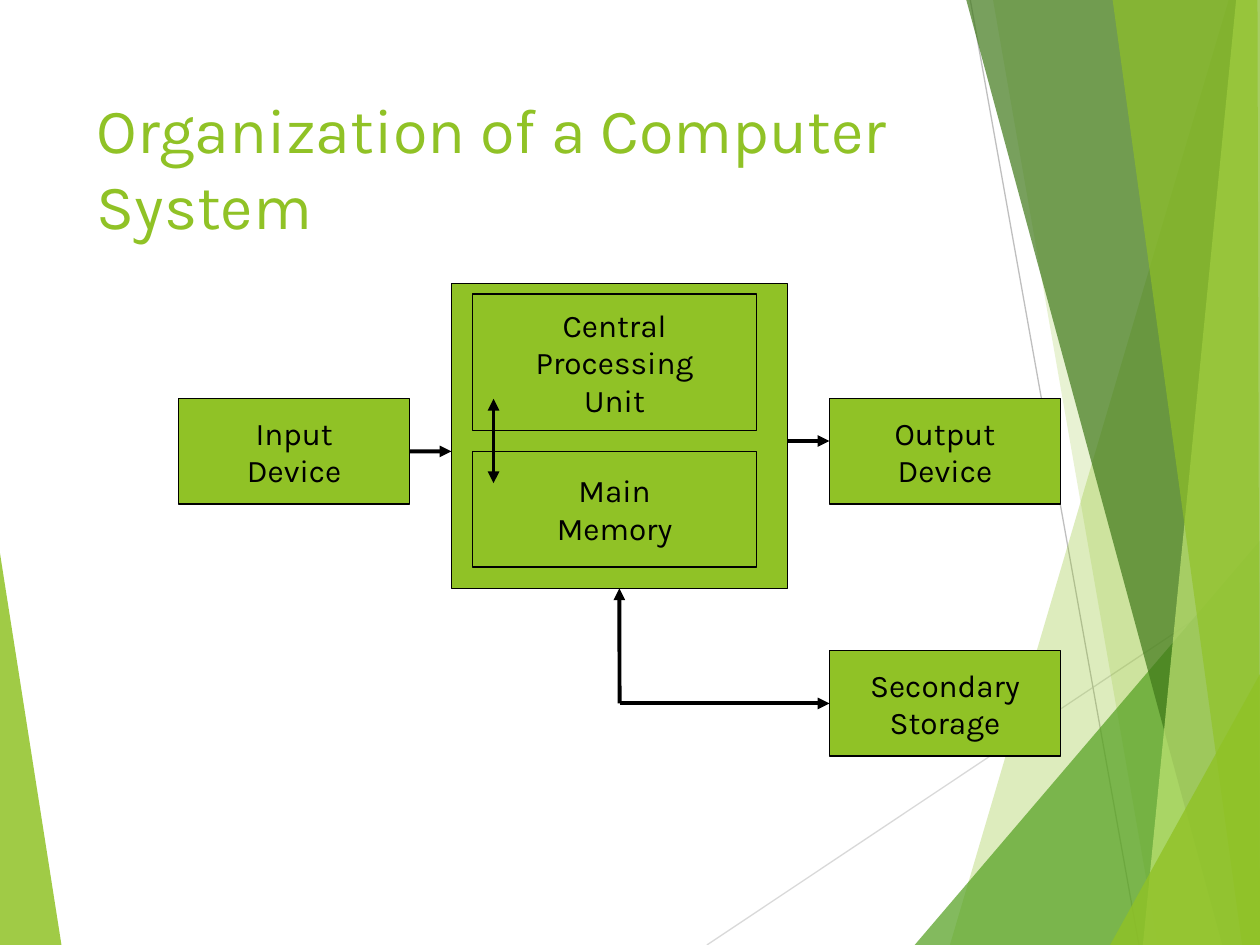
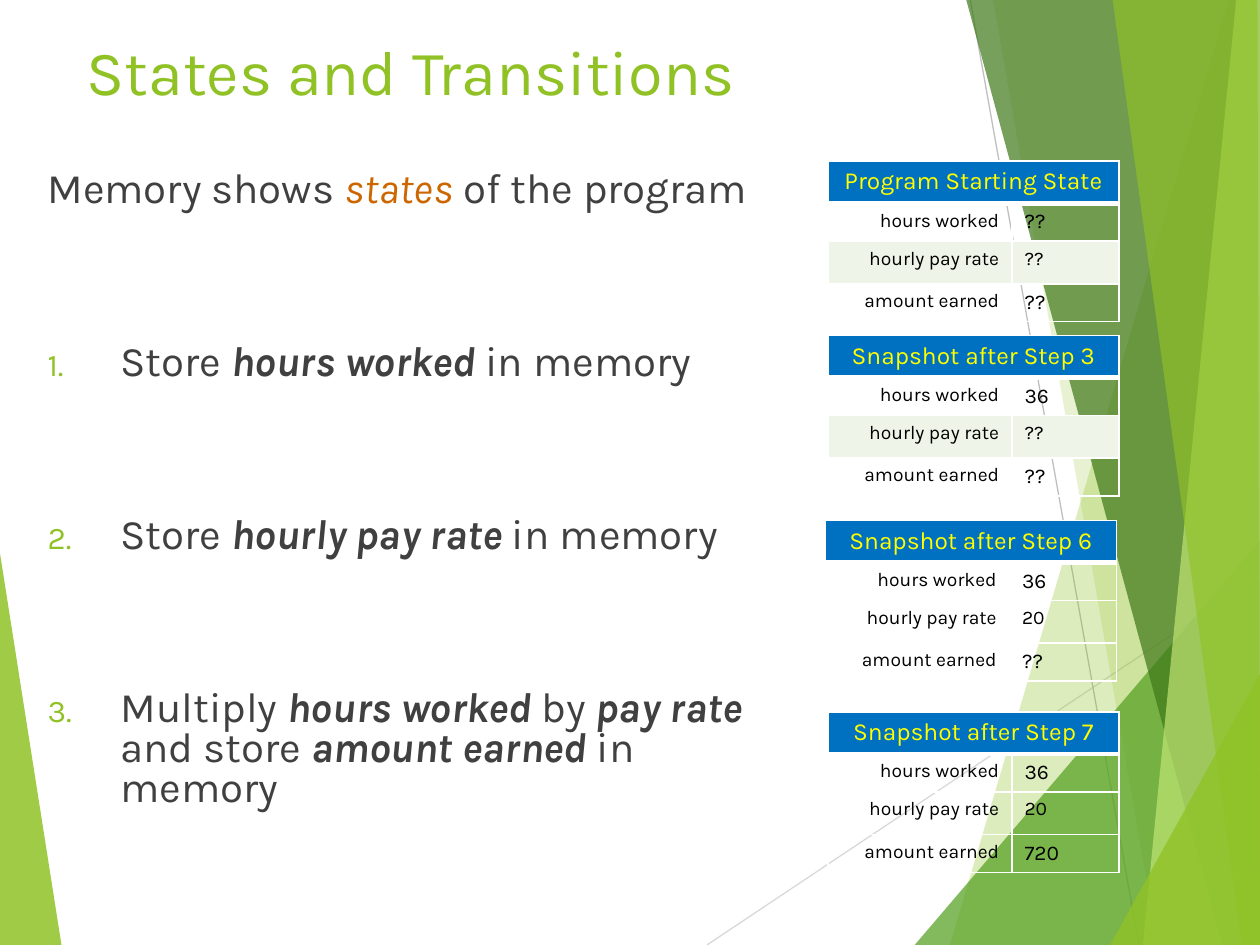
from pptx import Presentation
from pptx.dml.color import RGBColor
from pptx.enum.shapes import MSO_CONNECTOR, MSO_SHAPE
from pptx.enum.text import MSO_ANCHOR, PP_ALIGN
from pptx.oxml.ns import qn
from pptx.util import Cm, Pt
from lxml.etree import SubElement

FONT = "Karla"
LIME = RGBColor(0x90, 0xC2, 0x26)
PALE_LIME = RGBColor(0xC0, 0xE4, 0x74)
GREEN = RGBColor(0x54, 0xA0, 0x21)
DARK_GREEN = RGBColor(0x3F, 0x78, 0x19)
LIGHT_GREY = RGBColor(0xD9, 0xD9, 0xD9)
MID_GREY = RGBColor(0xBF, 0xBF, 0xBF)
BLACK = RGBColor(0x00, 0x00, 0x00)
BODY_GREY = RGBColor(0x40, 0x40, 0x40)
ORANGE = RGBColor(0xCC, 0x66, 0x00)
BLUE = RGBColor(0x00, 0x70, 0xC0)
YELLOW = RGBColor(0xFF, 0xFF, 0x00)
BAND = RGBColor(0xEE, 0xF4, 0xE8)

WIDTH, HEIGHT = 25.4, 19.05


def style_text(paragraph, size, color, align=PP_ALIGN.LEFT):
    paragraph.alignment = align
    for run in paragraph.runs:
        run.font.name = FONT
        run.font.size = Pt(size)
        run.font.color.rgb = color


def draw_line(slide, start, end, color, width, arrowheads=()):
    line = slide.shapes.add_connector(
        MSO_CONNECTOR.STRAIGHT, *[Cm(value) for value in start + end])
    line.line.color.rgb = color
    line.line.width = Pt(width)
    properties = line._element.spPr
    for arrowhead in arrowheads:
        SubElement(properties.find(qn("a:ln")), qn(f"a:{arrowhead}"), type="triangle")
    SubElement(properties, qn("a:effectLst"))
    return line


presentation = Presentation()
presentation.slide_width = Cm(WIDTH)
presentation.slide_height = Cm(HEIGHT)

left_wedge = ([(0, 11.15), (1.24, HEIGHT), (0, HEIGHT)], LIME, 85)
right_facets = [
    ([(24.77, 0), (19.15, HEIGHT), (WIDTH, HEIGHT), (WIDTH, 0)], LIME, 30),
    ([(20.02, 0), (23.34, HEIGHT), (WIDTH, HEIGHT), (WIDTH, 0)], LIME, 20),
    ([(18.44, HEIGHT), (WIDTH, 10.9), (WIDTH, HEIGHT)], GREEN, 72),
    ([(19.48, 0), (24.64, HEIGHT), (WIDTH, HEIGHT), (WIDTH, 0)], DARK_GREEN, 70),
    ([(24.92, 0), (23.04, HEIGHT), (WIDTH, HEIGHT), (WIDTH, 0)], PALE_LIME, 70),
    ([(22.43, 0), (25.04, HEIGHT), (WIDTH, HEIGHT), (25.35, 0)], LIME, 65),
    ([(22.38, HEIGHT), (WIDTH, 13.59), (WIDTH, HEIGHT)], LIME, 80),
]
titles = [
    ("Organization of a Computer System", (1.7, 1.7, 17.63, 3.66)),
    ("States and Transitions", (1.5, 0.53, 17.63, 2.21)),
]
slides = []
for title, place in titles:
    slide = presentation.slides.add_slide(presentation.slide_layouts[6])
    draw_line(slide, (14.25, HEIGHT), (WIDTH, 11.61), LIGHT_GREY, 0.75)
    draw_line(slide, (19.56, 0), (22.96, HEIGHT), MID_GREY, 0.75)
    for corners, color, opacity in [left_wedge] + right_facets:
        points = [(Cm(x), Cm(y)) for x, y in corners]
        builder = slide.shapes.build_freeform(*points[0])
        builder.add_line_segments(points[1:])
        facet = builder.convert_to_shape()
        facet.shadow.inherit = False
        facet.fill.solid()
        facet.fill.fore_color.rgb = color
        facet.line.fill.background()
        fill_color = facet._element.spPr.find(f".//{qn('a:srgbClr')}")
        SubElement(fill_color, qn("a:alpha"), val=str(opacity * 1000))
    heading = slide.shapes.add_textbox(*[Cm(value) for value in place])
    heading.text_frame.word_wrap = True
    heading.text_frame.text = title
    style_text(heading.text_frame.paragraphs[0], 36, LIME)
    slides.append(slide)
organization, states = slides

units = {}
for label, place in [
    ("", (9.1, 5.72, 6.77, 6.14)),
    ("Central\nProcessing\nUnit", (9.53, 5.93, 5.72, 2.75)),
    ("Main\nMemory", (9.53, 9.1, 5.72, 2.33)),
    ("Input\nDevice", (3.6, 8.04, 4.66, 2.12)),
    ("Output\nDevice", (16.72, 8.04, 4.66, 2.12)),
    ("Secondary\nStorage", (16.72, 13.12, 4.66, 2.12)),
]:
    unit = organization.shapes.add_shape(
        MSO_SHAPE.RECTANGLE, *[Cm(value) for value in place])
    unit.shadow.inherit = False
    unit.fill.solid()
    unit.fill.fore_color.rgb = LIME
    unit.line.color.rgb = BLACK
    unit.line.width = Pt(0.75)
    if label:
        unit.text_frame.text = label
        unit.text_frame.word_wrap = False
        unit.text_frame.vertical_anchor = MSO_ANCHOR.MIDDLE
        for paragraph in unit.text_frame.paragraphs:
            style_text(paragraph, 18, BLACK, PP_ALIGN.CENTER)
    units[label] = unit

input_flow = draw_line(organization, (8.26, 9.1), (9.1, 9.1), BLACK, 2.25, ["tailEnd"])
input_flow.begin_connect(units["Input\nDevice"], 3)
draw_line(organization, (15.87, 8.89), (16.72, 8.89), BLACK, 2.25, ["tailEnd"])
storage_read = draw_line(
    organization, (12.49, 14.18), (12.49, 11.86), BLACK, 2.25, ["tailEnd"])
storage_read.end_connect(units[""], 2)
draw_line(organization, (9.95, 9.74), (9.95, 8.04), BLACK, 2.25, ["headEnd", "tailEnd"])
storage_write = draw_line(
    organization, (12.49, 14.18), (16.72, 14.18), BLACK, 2.25, ["tailEnd"])
storage_write.end_connect(units["Secondary\nStorage"], 1)

steps = [
    ["Memory shows ", "states", " of the program"],
    ["Store ", "hours worked ", "in memory"],
    ["Store ", "hourly pay rate ", "in memory"],
    ["Multiply ", "hours worked ", "by ", "pay rate ", "and store ",
     "amount earned ", "in memory"],
]
body = states.shapes.add_textbox(Cm(0.71), Cm(3.33), Cm(15.19), Cm(14))
body.text_frame.word_wrap = True
for number, parts in enumerate(steps):
    paragraph = body.text_frame.paragraphs[0] if number == 0 else body.text_frame.add_paragraph()
    for part in parts:
        paragraph.add_run().text = part
    style_text(paragraph, 24, BODY_GREY)
    paragraph.line_spacing = 0.8
    paragraph.space_before = Pt(75.7 if number else 10)
    for emphasis in paragraph.runs[1::2]:
        emphasis.font.italic = True
        if number:
            emphasis.font.bold = True
        else:
            emphasis.font.color.rgb = ORANGE
    if number:
        properties = paragraph._p.get_or_add_pPr()
        properties.set("marL", str(Cm(1.47)))
        properties.set("indent", str(-Cm(1.47)))
        bullet_color = SubElement(properties, qn("a:buClr"))
        SubElement(bullet_color, qn("a:srgbClr"), val=str(LIME))
        SubElement(properties, qn("a:buSzPct"), val="75000")
        SubElement(properties, qn("a:buFont"), typeface=FONT)
        SubElement(properties, qn("a:buAutoNum"), type="arabicPeriod")

variables = ["hours worked", "hourly pay rate", "amount earned"]
value_sizes = [12, 11, 12]
row_heights = [0.83, 0.76, 0.86, 0.76]
snapshots = [
    ("Program Starting State", ["??", "??", "??"], 16.69, 3.25, True),
    ("Snapshot after Step 3", ["36", "??", "??"], 16.69, 6.76, True),
    ("Snapshot after Step 6", ["36", "20", "??"], 16.64, 10.49, False),
    ("Snapshot after Step 7", ["36", "20", "720"], 16.69, 14.35, False),
]
for caption, values, left, top, banded in snapshots:
    memory = states.shapes.add_table(
        4, 2, Cm(left), Cm(top), Cm(5.87), Cm(sum(row_heights))).table
    memory.first_row = False
    memory.horz_banding = False
    memory.columns[0].width = Cm(3.71)
    memory.columns[1].width = Cm(2.16)
    for row, height in zip(memory.rows, row_heights):
        row.height = Cm(height)
    memory.cell(0, 0).merge(memory.cell(0, 1))
    memory.cell(0, 0).text_frame.text = caption
    style_text(memory.cell(0, 0).text_frame.paragraphs[0], 14, YELLOW, PP_ALIGN.CENTER)
    for index, (variable, value, size) in enumerate(zip(variables, values, value_sizes), 1):
        name_cell, value_cell = memory.cell(index, 0), memory.cell(index, 1)
        name_cell.text_frame.text = variable
        value_cell.text_frame.text = value
        style_text(name_cell.text_frame.paragraphs[0], 11, BLACK, PP_ALIGN.RIGHT)
        style_text(value_cell.text_frame.paragraphs[0], size, BLACK)
    for index, row in enumerate(memory.rows):
        for cell in row.cells:
            properties = cell._tc.get_or_add_tcPr()
            for side in ("lnL", "lnR", "lnT", "lnB"):
                thickness = 3 if index == 0 and side == "lnB" else 1
                border = SubElement(properties, qn(f"a:{side}"), w=str(Pt(thickness)))
                border_fill = SubElement(border, qn("a:solidFill"))
                SubElement(border_fill, qn("a:srgbClr"), val="FFFFFF")
            if index == 0 or (banded and index == 2):
                cell.fill.solid()
                cell.fill.fore_color.rgb = BAND if index else BLUE
            else:
                cell.fill.background()

presentation.save("out.pptx")
